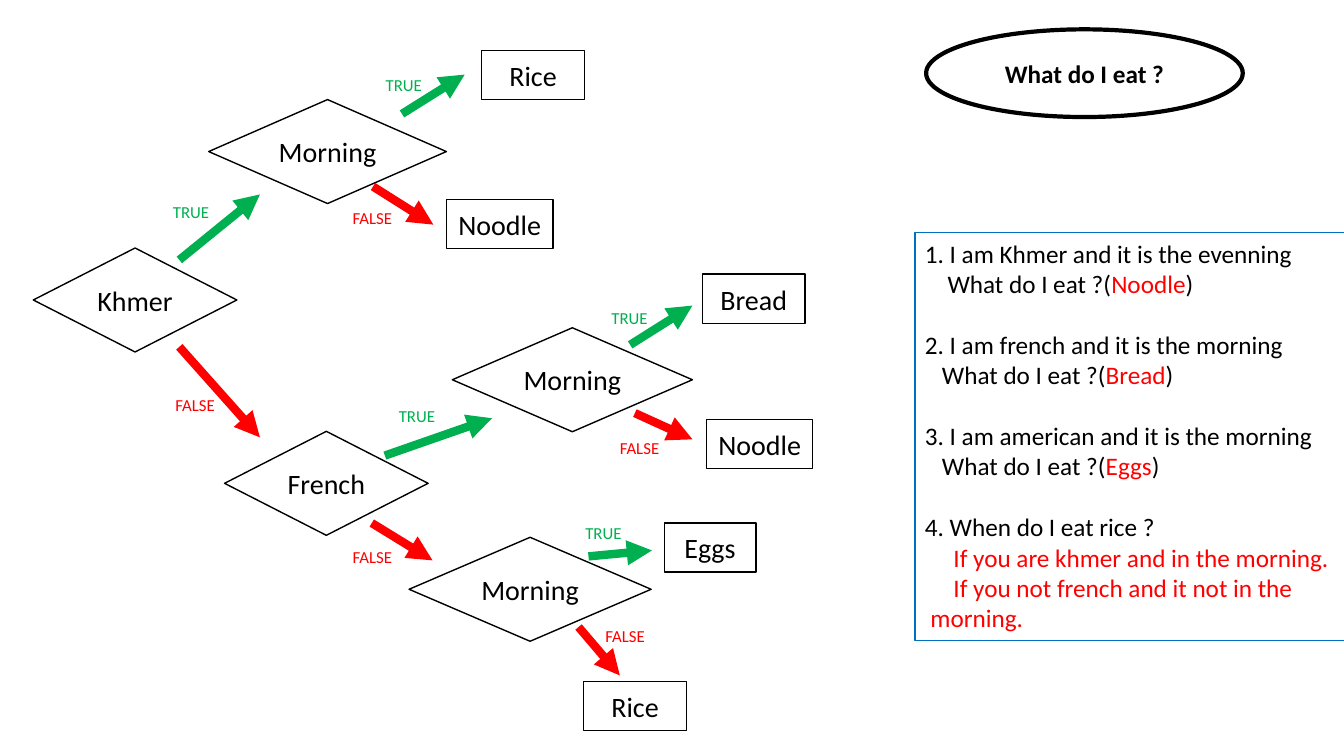
import pptx
import pptx.dml.color
import pptx.enum.shapes
import pptx.enum.text
import pptx.oxml
import pptx.util
from pptx.util import Cm, Pt

SHAPES = pptx.enum.shapes.MSO_SHAPE
ANCHOR = pptx.enum.text.MSO_ANCHOR
ALIGN = pptx.enum.text.PP_ALIGN
AUTO_SIZE = pptx.enum.text.MSO_AUTO_SIZE

BLACK, WHITE, RED, GREEN, BLUE = "000000", "FFFFFF", "FF0000", "00B050", "0070C0"
NODE_HEIGHT = 2.62
FOOD_HEIGHT = 1.24

# Text, left, top, width in cm
DECISIONS = [
    ("Khmer", 0.84, 6.25, 5.13),
    ("Morning", 5.26, 2.51, 5.99),
    ("French", 5.66, 10.87, 5.13),
    ("Morning", 11.4, 8.26, 6.05),
    ("Morning", 10.31, 13.54, 6.1),
]
FOODS = [
    ("Rice", 12.14, 1.27, 2.59),
    ("Noodle", 11.25, 5.03, 2.69),
    ("Bread", 17.7, 6.91, 2.59),
    ("Noodle", 17.81, 10.57, 2.67),
    ("Eggs", 16.74, 13.18, 2.31),
    ("Rice", 14.71, 17.17, 2.59),
]
# Outcome, arrow start, arrow end, label corner in cm
BRANCHES = [
    (True, (4.52, 6.55), (6.55, 4.9), (4.11, 4.95)),
    (False, (4.52, 8.74), (6.55, 11.02), (4.17, 9.83)),
    (True, (10.13, 2.87), (11.71, 1.88), (9.47, 1.75)),
    (False, (9.4, 4.7), (10.92, 5.66), (8.64, 5.11)),
    (True, (9.7, 11.48), (12.4, 10.54), (9.8, 10.11)),
    (False, (9.37, 13.18), (10.9, 14.12), (8.64, 13.64)),
    (True, (15.88, 8.69), (17.45, 7.7), (15.16, 7.62)),
    (False, (16, 10.41), (17.45, 11.07), (15.37, 10.9)),
    (True, (14.83, 14.02), (16.43, 13.87), (14.5, 13.06)),
    (False, (14.58, 15.8), (15.62, 17.02), (15.01, 15.65)),
]
# Situation, answer, indent of the second line in cm
QUESTIONS = [
    ("1. I am Khmer and it is the evenning", "Noodle", 0.57),
    ("2. I am french and it is the morning", "Bread", 0.43),
    ("3. I am american and it is the morning", "Eggs", 0.43),
]
RICE_ANSWER = [
    ("If you are khmer and in the morning.", 0.72),
    ("If you not french and it not in the", 0.72),
    ("morning.", 0.14),
]


def rgb(hex_color):
    return pptx.dml.color.RGBColor.from_string(hex_color)


class DecisionTreeSlide:
    font = "Calibri"

    def __init__(self, slide):
        self.slide = slide

    def add_text(self, paragraph, text, size=18, color=BLACK, bold=False):
        run = paragraph.add_run()
        run.text = text
        run.font.name = self.font
        run.font.size = Pt(size)
        run.font.bold = bold
        run.font.color.rgb = rgb(color)

    def box(self, kind, left, top, width, height, fill=None, line=BLACK, weight=1):
        shape = self.slide.shapes.add_shape(kind, Cm(left), Cm(top), Cm(width), Cm(height))
        shape.shadow.inherit = False
        if fill:
            shape.fill.solid()
            shape.fill.fore_color.rgb = rgb(fill)
        else:
            shape.fill.background()
        shape.line.color.rgb = rgb(line)
        shape.line.width = Pt(weight)
        shape.text_frame.word_wrap = False
        return shape.text_frame

    def node(self, kind, text, left, top, width, height, size=20, bold=False, **look):
        """Draw an outlined shape with one centred line of text."""
        frame = self.box(kind, left, top, width, height, **look)
        frame.vertical_anchor = ANCHOR.MIDDLE
        frame.paragraphs[0].alignment = ALIGN.CENTER
        self.add_text(frame.paragraphs[0], text, size=size, bold=bold)

    def arrow(self, start, end, color):
        arrow = self.slide.shapes.add_connector(
            pptx.enum.shapes.MSO_CONNECTOR.STRAIGHT, *map(Cm, start + end))
        arrow.line.color.rgb = rgb(color)
        arrow.line.width = Pt(6)
        head = pptx.oxml.parse_xml(
            '<a:tailEnd xmlns:a="http://schemas.openxmlformats.org/drawingml/2006/main"'
            ' type="triangle"/>')
        arrow.line._get_or_add_ln().append(head)
        no_effects = pptx.oxml.parse_xml(
            '<a:effectLst xmlns:a="http://schemas.openxmlformats.org/drawingml/2006/main"/>')
        arrow._element.spPr.append(no_effects)

    def branch(self, outcome, start, end, corner):
        """Draw an arrow with its TRUE or FALSE label."""
        color, text, width = (GREEN, "TRUE", 1.45) if outcome else (RED, "FALSE", 1.68)
        self.arrow(start, end, color)
        label = self.slide.shapes.add_textbox(*map(Cm, corner + (width, 0.76))).text_frame
        label.word_wrap = not outcome
        label.auto_size = AUTO_SIZE.SHAPE_TO_FIT_TEXT
        self.add_text(label.paragraphs[0], text, size=12, color=color)

    def line(self, frame, *runs, indent=0, gap=0):
        """Add a left-aligned line made of (text, color) runs."""
        first = frame.paragraphs[0]
        paragraph = frame.add_paragraph() if first.runs else first
        paragraph.alignment = ALIGN.LEFT
        paragraph.space_before = Pt(gap)
        paragraph._p.get_or_add_pPr().set("marL", str(Cm(indent)))
        for text, color in runs:
            self.add_text(paragraph, text, color=color)

    def exercise(self):
        frame = self.box(SHAPES.RECTANGLE, 23.06, 5.87, 10.82, 10.26, line=BLUE, weight=0.75)
        frame.vertical_anchor = ANCHOR.TOP
        frame.auto_size = AUTO_SIZE.SHAPE_TO_FIT_TEXT
        for number, (situation, answer, indent) in enumerate(QUESTIONS):
            self.line(frame, (situation, BLACK), gap=22 if number else 0)
            self.line(frame, ("What do I eat ?(", BLACK), (answer, RED), (")", BLACK),
                      indent=indent)
        self.line(frame, ("4. When do I eat rice ?", BLACK), gap=22)
        for text, indent in RICE_ANSWER:
            self.line(frame, (text, RED), indent=indent)


def main():
    deck = pptx.Presentation()
    deck.slide_width, deck.slide_height = Cm(33.87), Cm(19.05)
    tree = DecisionTreeSlide(deck.slides.add_slide(deck.slide_layouts[6]))
    for decision in DECISIONS:
        tree.node(SHAPES.DIAMOND, *decision, NODE_HEIGHT)
    for food in FOODS:
        tree.node(SHAPES.RECTANGLE, *food, FOOD_HEIGHT, fill=WHITE)
    for branch in BRANCHES:
        tree.branch(*branch)
    tree.exercise()
    tree.node(SHAPES.OVAL, "What do I eat ?", 23.34, 0.74, 7.98, 2.21,
              size=18, bold=True, weight=3)
    deck.save("out.pptx")


if __name__ == "__main__":
    main()
